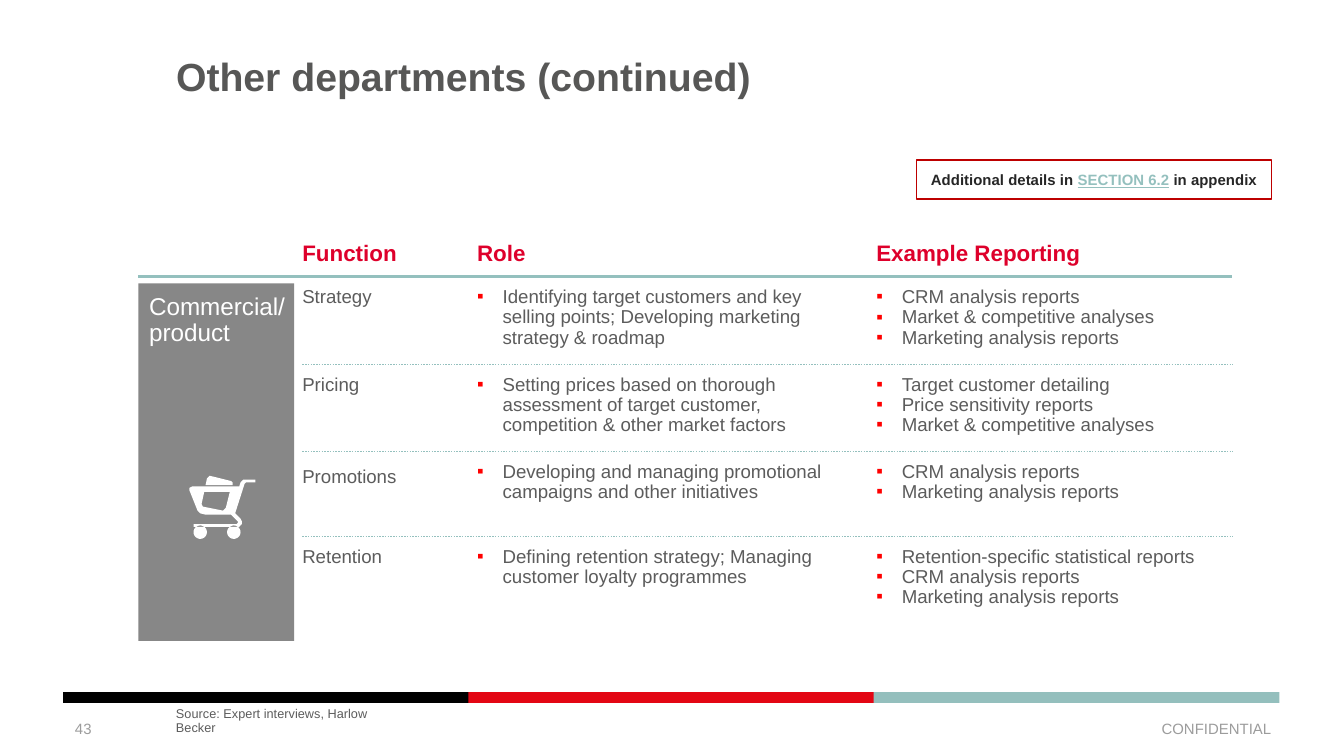
import math

import pptx
import pptx.dml.color
import pptx.enum.dml
import pptx.enum.shapes
import pptx.enum.text
import pptx.util
from lxml import etree

RGBColor = pptx.dml.color.RGBColor
ALIGN = pptx.enum.text.PP_ALIGN
ANCHOR = pptx.enum.text.MSO_ANCHOR
AUTO_SIZE = pptx.enum.text.MSO_AUTO_SIZE
RECTANGLE = pptx.enum.shapes.MSO_SHAPE.RECTANGLE
inches = pptx.util.Inches

BLACK = RGBColor(0x00, 0x00, 0x00)
WHITE = RGBColor(0xFF, 0xFF, 0xFF)
RED = RGBColor(0xE3, 0x06, 0x13)
HEADER_RED = RGBColor(0xDE, 0x00, 0x2B)
CALLOUT_RED = RGBColor(0xBD, 0x00, 0x00)
BULLET_RED = RGBColor(0xFF, 0x00, 0x00)
TEAL = RGBColor(0x94, 0xBF, 0xBD)
LINE_TEAL = RGBColor(0x94, 0xC0, 0xBE)
PANEL_GRAY = RGBColor(0x87, 0x87, 0x87)
TITLE_GRAY = RGBColor(0x57, 0x57, 0x56)
TEXT_GRAY = RGBColor(0x5C, 0x5C, 0x5C)
FOOTER_GRAY = RGBColor(0x9C, 0x9C, 0x9C)
CALLOUT_TEXT = RGBColor(0x26, 0x26, 0x26)

# Grid, in inches
PANEL_LEFT, TABLE_RIGHT = 1.03, 9.17
COLUMNS = [(2.25, 1.13), (3.55, 2.65), (6.52, 2.65)]  # left, width
ROW_TOPS = [2.06, 2.71, 3.36, 3.99]
HEADER_HEIGHT = 0.26
TEXT_LEFT = 1.31
PADDING = 0.08
LINE_HEIGHT = 0.15
BULLET_INDENT = 0.19

HEADERS = ["Function", "Role", "Example Reporting"]
# Function, role, lines the role takes, reports
ROWS = [
    ("Strategy",
     "Identifying target customers and key selling points; "
     "Developing marketing strategy & roadmap", 3,
     ["CRM analysis reports", "Market & competitive analyses", "Marketing analysis reports"]),
    ("Pricing",
     "Setting prices based on thorough assessment of target customer, "
     "competition & other market factors", 3,
     ["Target customer detailing", "Price sensitivity reports", "Market & competitive analyses"]),
    ("Promotions",
     "Developing and managing promotional campaigns and other initiatives", 2,
     ["CRM analysis reports", "Marketing analysis reports"]),
    ("Retention",
     "Defining retention strategy; Managing customer loyalty programmes", 2,
     ["Retention-specific statistical reports", "CRM analysis reports",
      "Marketing analysis reports"]),
]

# Cart outlines, in inches
CART_LOAD = [(1.73, 3.61), (1.53, 3.61), (1.54, 3.56), (1.56, 3.54), (1.72, 3.58), (1.73, 3.59)]
CART_FRAME = [
    (1.44, 3.92), (1.44, 3.9), (1.76, 3.9), (1.77, 3.89), (1.77, 3.88), (1.72, 3.83),
    (1.53, 3.83), (1.49, 3.82), (1.47, 3.8), (1.41, 3.65), (1.41, 3.63), (1.43, 3.62),
    (1.78, 3.62), (1.79, 3.59), (1.81, 3.57), (1.83, 3.57), (1.9, 3.57), (1.9, 3.59),
    (1.83, 3.59), (1.82, 3.6), (1.75, 3.82), (1.79, 3.86), (1.8, 3.88), (1.8, 3.9),
    (1.78, 3.92), (1.76, 3.92)]
CART_OPENING = [(1.71, 3.66), (1.52, 3.66), (1.5, 3.75), (1.51, 3.77), (1.66, 3.8), (1.68, 3.78)]
WHEEL_CENTRES = [(1.49, 3.96), (1.74, 3.96)]


def style_font(font, size, color, bold=False):
    font.name = "Arial"
    font.size = pptx.util.Pt(size)
    font.color.rgb = color
    font.bold = bold


def add_bullet(paragraph):
    properties = paragraph._p.get_or_add_pPr()
    properties.set("marL", str(inches(BULLET_INDENT)))
    properties.set("indent", str(-inches(BULLET_INDENT)))
    color = etree.SubElement(properties, pptx.oxml.ns.qn("a:buClr"))
    etree.SubElement(color, pptx.oxml.ns.qn("a:srgbClr"), val=str(BULLET_RED))
    etree.SubElement(properties, pptx.oxml.ns.qn("a:buFont"), typeface="Arial")
    etree.SubElement(properties, pptx.oxml.ns.qn("a:buChar"), char="▪")


def fill_text(shape, lines, size, color, bold=False, insets=(0, 0, 0, 0),
              anchor=ANCHOR.TOP, align=ALIGN.LEFT, bullets=False, wrap=True, grow=False):
    """Insets run left, top, right, bottom."""
    frame = shape.text_frame
    frame.word_wrap = wrap
    frame.auto_size = AUTO_SIZE.SHAPE_TO_FIT_TEXT if grow else AUTO_SIZE.NONE
    frame.vertical_anchor = anchor
    (frame.margin_left, frame.margin_top,
     frame.margin_right, frame.margin_bottom) = map(inches, insets)
    frame.text = "\n".join(lines)
    for paragraph in frame.paragraphs:
        paragraph.alignment = align
        paragraph.line_spacing = 0.9
        if bullets:
            add_bullet(paragraph)
        style_font(paragraph.font, size, color, bold)


def add_text(slide, left, top, width, height, *args, **options):
    box = slide.shapes.add_textbox(*map(inches, (left, top, width, height)))
    fill_text(box, *args, **options)


def add_rectangle(slide, left, top, width, height, fill=None, line=None):
    shape = slide.shapes.add_shape(RECTANGLE, *map(inches, (left, top, width, height)))
    shape.shadow.inherit = False
    if fill is None:
        shape.fill.background()
    else:
        shape.fill.solid()
        shape.fill.fore_color.rgb = fill
    if line is None:
        shape.line.fill.background()
    else:
        shape.line.color.rgb = line
        shape.line.width = pptx.util.Pt(0.75)
    return shape


def add_rule(slide, left, top, weight, dotted=False):
    rule = slide.shapes.add_connector(
        pptx.enum.shapes.MSO_CONNECTOR.STRAIGHT,
        inches(left), inches(top), inches(TABLE_RIGHT), inches(top))
    rule.line.color.rgb = LINE_TEAL
    rule.line.width = pptx.util.Pt(weight)
    if dotted:
        rule.line.dash_style = pptx.enum.dml.MSO_LINE.ROUND_DOT
    etree.SubElement(rule._element.spPr, pptx.oxml.ns.qn("a:effectLst"))


def circle(centre_x, centre_y, radius=0.05, steps=24):
    angles = [2 * math.pi * step / steps for step in range(steps)]
    return [(centre_x + radius * math.cos(angle), centre_y + radius * math.sin(angle))
            for angle in angles]


def add_cart(slide):
    wheels = [circle(*centre) for centre in WHEEL_CENTRES]
    outlines = [[(inches(x), inches(y)) for x, y in outline]
                for outline in (CART_FRAME, CART_OPENING, CART_LOAD, *wheels)]
    builder = slide.shapes.build_freeform(*outlines[0][0])
    for outline in outlines:
        if outline is not outlines[0]:
            builder.move_to(*outline[0])
        builder.add_line_segments(outline[1:], close=True)
    cart = builder.convert_to_shape()
    cart.shadow.inherit = False
    cart.fill.solid()
    cart.fill.fore_color.rgb = WHITE
    cart.line.fill.background()


def add_callout(slide):
    callout = add_rectangle(slide, 6.82, 1.19, 2.64, 0.29, line=CALLOUT_RED)
    frame = callout.text_frame
    frame.word_wrap = True
    frame.vertical_anchor = ANCHOR.MIDDLE
    paragraph = frame.paragraphs[0]
    paragraph.alignment = ALIGN.CENTER
    for text, color, underlined in [("Additional details in ", CALLOUT_TEXT, False),
                                    ("SECTION 6.2", LINE_TEAL, True),
                                    (" in appendix", CALLOUT_TEXT, False)]:
        run = paragraph.add_run()
        run.text = text
        style_font(run.font, 8, color, bold=True)
        run.font.underline = underlined


def add_function_grid(slide):
    for (left, width), header in zip(COLUMNS, HEADERS):
        add_text(slide, left, ROW_TOPS[0] - HEADER_HEIGHT, width, HEADER_HEIGHT, [header],
                 12, HEADER_RED, bold=True, insets=(0, 0, 0, PADDING),
                 anchor=ANCHOR.BOTTOM, grow=True)
    add_rule(slide, PANEL_LEFT, ROW_TOPS[0], 1.75)
    for top in ROW_TOPS[1:]:
        add_rule(slide, COLUMNS[0][0], top, 0.75, dotted=True)
    for top, (function, role, role_lines, reports) in zip(ROW_TOPS, ROWS):
        cells = [([function], 1), ([role], role_lines), (reports, len(reports))]
        for column, ((left, width), (lines, count)) in enumerate(zip(COLUMNS, cells)):
            padding = 0.12 if lines == ["Promotions"] else PADDING
            add_text(slide, left, top, width, padding + count * LINE_HEIGHT, lines, 10,
                     TEXT_GRAY, insets=(0, padding, 0, 0), bullets=column > 0, grow=True)


def add_footer(slide):
    for index, color in enumerate([BLACK, RED, TEAL]):
        add_rectangle(slide, 0.47 + index * 3.015, 5.15, 3.02, 0.08, fill=color)
    for left, text, align in [(0.46, "43", ALIGN.LEFT), (7.23, "CONFIDENTIAL", ALIGN.RIGHT)]:
        add_text(slide, left, 5.28, 2.33, 0.3, [text], 8, FOOTER_GRAY,
                 insets=(0.1, 0.05, 0.1, 0.05), anchor=ANCHOR.MIDDLE, align=align)
    add_text(slide, TEXT_LEFT, 5.37, 1.74, 0.1, ["Source: Expert interviews, Harlow Becker"],
             6.8, TEXT_GRAY, anchor=ANCHOR.BOTTOM, wrap=False, grow=True)


def main():
    presentation = pptx.Presentation()
    presentation.slide_width = inches(10)
    presentation.slide_height = presentation.slide_width * 9 // 16
    slide = presentation.slides.add_slide(presentation.slide_layouts[6])

    # Title and callout
    add_text(slide, TEXT_LEFT, 0.43, 8.22, 0.94, ["Other departments (continued)"],
             21, TITLE_GRAY, bold=True)
    add_callout(slide)

    # Department panel
    panel = add_rectangle(slide, PANEL_LEFT, 2.11, 1.16, 2.66, fill=PANEL_GRAY)
    fill_text(panel, ["Commercial/ product"], 13, WHITE, insets=(PADDING, PADDING, 0, 0))
    add_cart(slide)

    # Functions, roles and reports
    add_function_grid(slide)

    add_footer(slide)
    presentation.save("out.pptx")


if __name__ == "__main__":
    main()
